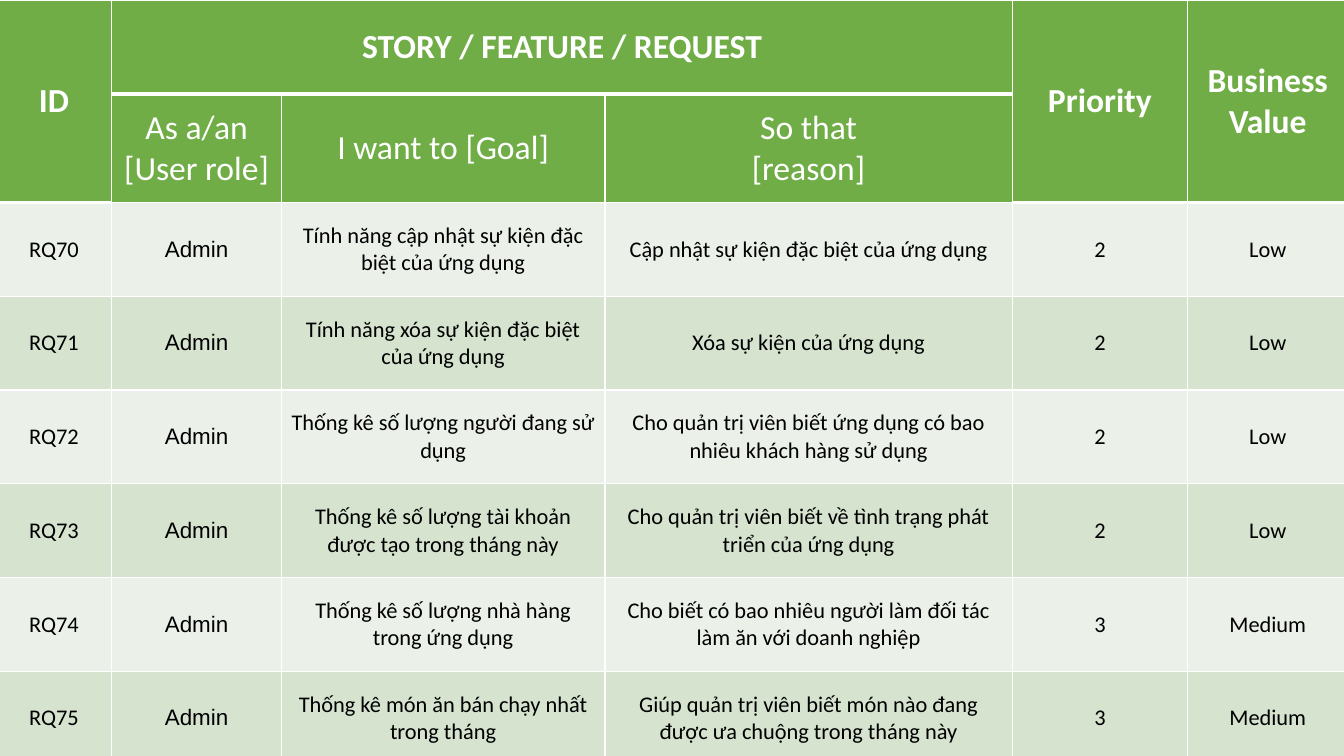
from lxml.etree import SubElement
from pptx import Presentation
from pptx.dml.color import RGBColor
from pptx.enum.text import MSO_ANCHOR, PP_ALIGN
from pptx.oxml.ns import qn
from pptx.util import Inches, Pt

WHITE, BLACK, GREEN = "FFFFFF", "000000", "70AD47"
BANDS = ["EBF1E9", "D5E3CF"]
COLUMN_WIDTHS = [1.15, 1.68, 3.21, 4.04, 1.74, 1.59]
ROW_HEIGHT, SUBHEADER_HEIGHT = 0.93, 1.08
TALL_COLUMNS = [0, 4, 5]  # headers that span both header rows

HEADERS = [
    ["ID", "STORY / FEATURE / REQUEST", "", "", "Priority", "Business Value"],
    ["", "As a/an\n[User role]", "I want to [Goal]", "So that\n[reason]", "", ""],
]
REQUESTS = [
    ["RQ70", "Admin", "Tính năng cập nhật sự kiện đặc biệt của ứng dụng",
     "Cập nhật sự kiện đặc biệt của ứng dụng", "2", "Low"],
    ["RQ71", "Admin", "Tính năng xóa sự kiện đặc biệt của ứng dụng",
     "Xóa sự kiện của ứng dụng", "2", "Low"],
    ["RQ72", "Admin", "Thống kê số lượng người đang sử dụng",
     "Cho quản trị viên biết ứng dụng có bao nhiêu khách hàng sử dụng", "2", "Low"],
    ["RQ73", "Admin", "Thống kê số lượng tài khoản được tạo trong tháng này",
     "Cho quản trị viên biết về tình trạng phát triển của ứng dụng", "2", "Low"],
    ["RQ74", "Admin", "Thống kê số lượng nhà hàng trong ứng dụng",
     "Cho biết có bao nhiêu người làm đối tác làm ăn với doanh nghiệp", "3", "Medium"],
    ["RQ75", "Admin", "Thống kê món ăn bán chạy nhất trong tháng",
     "Giúp quản trị viên biết món nào đang được ưa chuộng trong tháng này", "3", "Medium"],
]


def paint(color_format, color):
    color_format.rgb = RGBColor.from_string(color)


def add_border(cell, side, points):
    properties = cell._tc.get_or_add_tcPr()
    line = SubElement(properties, qn(f"a:ln{side}"), w=str(Pt(points)))
    fill = SubElement(line, qn("a:solidFill"))
    SubElement(fill, qn("a:srgbClr"), val=WHITE)


presentation = Presentation()
presentation.slide_width, presentation.slide_height = Inches(13.33), Inches(7.5)
slide = presentation.slides.add_slide(presentation.slide_layouts[6])

rows = HEADERS + REQUESTS
row_heights = [ROW_HEIGHT] * len(rows)
row_heights[1] = SUBHEADER_HEIGHT
table = slide.shapes.add_table(
    len(rows), len(COLUMN_WIDTHS), Inches(-0.04), 0,
    Inches(sum(COLUMN_WIDTHS)), Inches(sum(row_heights))).table
for column, width in zip(table.columns, COLUMN_WIDTHS):
    column.width = Inches(width)
for row, height in zip(table.rows, row_heights):
    row.height = Inches(height)

table.cell(0, 1).merge(table.cell(0, 3))
for column_index in TALL_COLUMNS:
    table.cell(0, column_index).merge(table.cell(1, column_index))

for row_index, texts in enumerate(rows):
    is_header = row_index < len(HEADERS)
    for column_index, text in enumerate(texts):
        cell = table.cell(row_index, column_index)
        is_tall = column_index in TALL_COLUMNS
        heavy_top = row_index == (2 if is_tall else 1)
        heavy_bottom = row_index == 0 or (row_index == 1 and is_tall)
        for side, points in [("L", 1), ("R", 1), ("T", 3 if heavy_top else 1),
                             ("B", 3 if heavy_bottom else 1)]:
            add_border(cell, side, points)
        cell.fill.solid()
        paint(cell.fill.fore_color, GREEN if is_header else BANDS[row_index % 2])
        cell.vertical_anchor = MSO_ANCHOR.MIDDLE
        if cell.is_spanned:
            continue
        cell.text = text
        for paragraph in cell.text_frame.paragraphs:
            paragraph.alignment = PP_ALIGN.CENTER
            font = paragraph.font
            font.name = "Arial" if text == "Admin" else "Calibri"
            font.size = Pt(24 if is_header else 16)
            font.bold = row_index == 0
            paint(font.color, WHITE if is_header else BLACK)

presentation.save("out.pptx")
